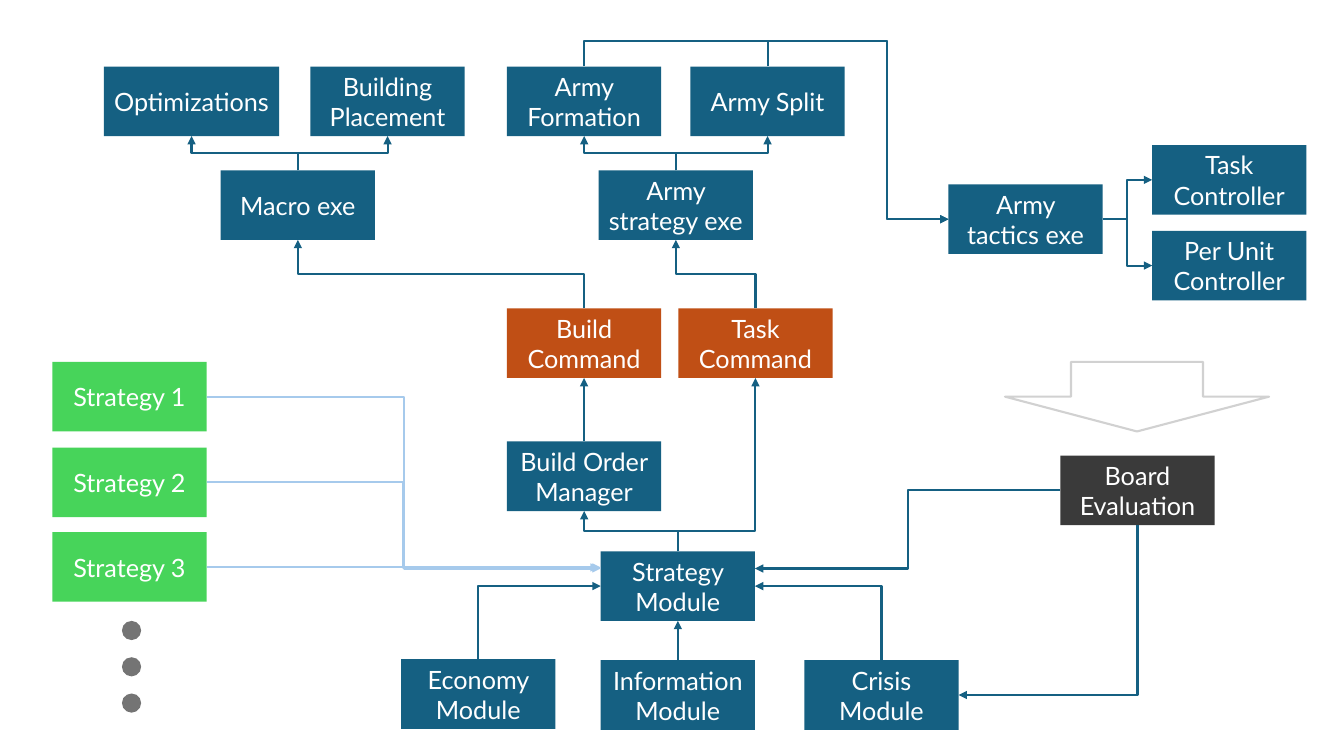
from lxml import etree
from pptx import Presentation
from pptx.dml.color import RGBColor
from pptx.enum.shapes import MSO_CONNECTOR, MSO_SHAPE
from pptx.enum.text import MSO_ANCHOR, PP_ALIGN
from pptx.oxml.ns import qn
from pptx.util import Pt

PX = 9144  # one hundredth of an inch
BOX_WIDTH, BOX_HEIGHT = 153, 69
TOP, LEFT, BOTTOM, RIGHT = range(4)  # connection sites of a rectangle
RECTANGLE, OVAL, DOWN_ARROW = MSO_SHAPE.RECTANGLE, MSO_SHAPE.OVAL, MSO_SHAPE.DOWN_ARROW
ELBOW = MSO_CONNECTOR.ELBOW
MIDDLE, CENTER = MSO_ANCHOR.MIDDLE, PP_ALIGN.CENTER
BLUE, ORANGE, GREEN, CHARCOAL = "156082", "C04F15", "47D45A", "3A3A3A"
LIGHT_BLUE, DOT_GREY, ARROW_GREY, WHITE = "A6CAEC", "747474", "D1D1D1", "FFFFFF"


def rgb(hex_colour):
    return RGBColor.from_string(hex_colour)


def add_figure(kind, left, top, width, height, fill=None, outline=None):
    figure = page.shapes.add_shape(kind, left * PX, top * PX, width * PX, height * PX)
    figure.shadow.inherit = False
    if fill:
        figure.fill.solid()
        figure.fill.fore_color.rgb = rgb(fill)
    else:
        figure.fill.background()
    if outline:
        figure.line.color.rgb = rgb(outline)
        figure.line.width = Pt(1.5)
    else:
        figure.line.fill.background()
    return figure


deck = Presentation()
deck.slide_width, deck.slide_height = 12192000, 6858000
page = deck.slides.add_slide(deck.slide_layouts[6])

# Labelled boxes: left and top by label, grouped by colour
box_groups = {
    BLUE: {
        "Optimizations": (103, 66),
        "Building Placement": (308, 66),
        "Army Formation": (503, 66),
        "Army Split": (685, 66),
        "Macro exe": (219, 169),
        "Army strategy exe": (594, 169),
        "Army tactics exe": (941, 183),
        "Task Controller": (1143, 144),
        "Per Unit Controller": (1143, 229),
        "Build Order Manager": (503, 438),
        "Strategy Module": (596, 547),
        "Economy Module": (398, 654),
        "Information Module": (596, 655),
        "Crisis Module": (798, 655),
    },
    ORANGE: {"Build Command": (503, 306), "Task Command": (673, 306)},
    GREEN: {"Strategy 1": (52, 359), "Strategy 2": (52, 444), "Strategy 3": (52, 528)},
    CHARCOAL: {"Board Evaluation": (1052, 452)},
}
font_format = {"name": "Lato", "size": Pt(18)}
boxes = {}
for fill, group in box_groups.items():
    for label, (left, top) in group.items():
        width = 174 if label == "Optimizations" else BOX_WIDTH
        box = add_figure(RECTANGLE, left, top, width, BOX_HEIGHT, fill)
        box.text_frame.word_wrap = True
        box.text_frame.vertical_anchor = MIDDLE
        para = box.text_frame.paragraphs[0]
        para.alignment = CENTER
        span = para.add_run()
        span.text = label
        for name, value in font_format.items():
            setattr(span.font, name, value)
        span.font.color.rgb = rgb(WHITE)
        boxes[label] = box

# Dots for further strategies, and the block arrow above the evaluation
for row in range(3):
    add_figure(OVAL, 121, 616 + 36 * row, 19, 19, DOT_GREY)
add_figure(DOWN_ARROW, 997, 359, 262, 69, outline=ARROW_GREY)

# Links: source, side, target (box or point), side, preset, adjustments
links = {
    BLUE: [
        ("Economy Module", TOP, "Strategy Module", LEFT, "bentConnector2", []),
        ("Information Module", TOP, "Strategy Module", BOTTOM, "line", []),
        ("Crisis Module", TOP, "Strategy Module", RIGHT, "bentConnector2", []),
        ("Strategy Module", TOP, "Build Order Manager", BOTTOM, "bentConnector3", []),
        ("Build Order Manager", TOP, "Build Command", BOTTOM, "line", []),
        ("Strategy Module", TOP, "Task Command", BOTTOM, "bentConnector3", [11800]),
        ("Build Command", TOP, "Macro exe", BOTTOM, "bentConnector3", []),
        ("Task Command", TOP, "Army strategy exe", BOTTOM, "bentConnector3", []),
        ("Macro exe", TOP, "Optimizations", BOTTOM, "bentConnector3", []),
        ("Macro exe", TOP, "Building Placement", BOTTOM, "bentConnector3", []),
        ("Army strategy exe", TOP, "Army Formation", BOTTOM, "bentConnector3", []),
        ("Army strategy exe", TOP, "Army Split", BOTTOM, "bentConnector3", []),
        ("Army Formation", TOP, "Army tactics exe", LEFT, "bentConnector4", [-16500, 83100]),
        ("Army Split", TOP, "Army tactics exe", LEFT, "bentConnector4", [-16500, 65900]),
        ("Army tactics exe", RIGHT, "Task Controller", LEFT, "bentConnector3", []),
        ("Army tactics exe", RIGHT, "Per Unit Controller", LEFT, "bentConnector3", []),
        ("Board Evaluation", LEFT, (749, 564), None, "bentConnector3", []),
        ("Board Evaluation", BOTTOM, "Crisis Module", RIGHT, "bentConnector2", []),
    ],
    LIGHT_BLUE: [
        ("Strategy 1", RIGHT, (596, 563), None, "bentConnector3", []),
        ("Strategy 2", RIGHT, (594, 563), None, "bentConnector3", []),
        ("Strategy 3", RIGHT, (596, 564), None, "bentConnector3", []),
    ],
}
for colour, rows in links.items():
    for source, source_side, target, target_side, preset, adjustments in rows:
        end_x, end_y = (0, 0) if target in boxes else target
        link = page.shapes.add_connector(ELBOW, 0, 0, end_x * PX, end_y * PX)
        link.begin_connect(boxes[source], source_side)
        if target in boxes:
            link.end_connect(boxes[target], target_side)
        link.line.width = Pt(1.5)
        link.line.color.rgb = rgb(colour)
        properties = link.element.spPr
        etree.SubElement(properties.find(qn("a:ln")), qn("a:tailEnd"), type="triangle")
        etree.SubElement(properties, qn("a:effectLst"))

        # Preset path and the place of its bends
        geometry = properties.find(qn("a:prstGeom"))
        geometry.set("prst", preset)
        guides = geometry.find(qn("a:avLst"))
        for number, amount in enumerate(adjustments, 1):
            etree.SubElement(guides, qn("a:gd"), name=f"adj{number}", fmla=f"val {amount}")

        # A path that leaves vertically is a turned one with its sides swapped
        if source_side in (TOP, BOTTOM) and preset != "line":
            across, down = link.end_x - link.begin_x, link.end_y - link.begin_y
            middle_x = (link.begin_x + link.end_x) // 2
            middle_y = (link.begin_y + link.end_y) // 2
            link.width, link.height = abs(down), abs(across)
            link.left, link.top = middle_x - abs(down) // 2, middle_y - abs(across) // 2
            turn = 270 if (across > 0) == (down > 0) else 90
            frame = properties.find(qn("a:xfrm"))
            frame.set("rot", str(turn * 60000))
            frame.set("flipH", str(int(across > 0)))
            frame.set("flipV", str(int(down < 0)))

deck.save("out.pptx")
